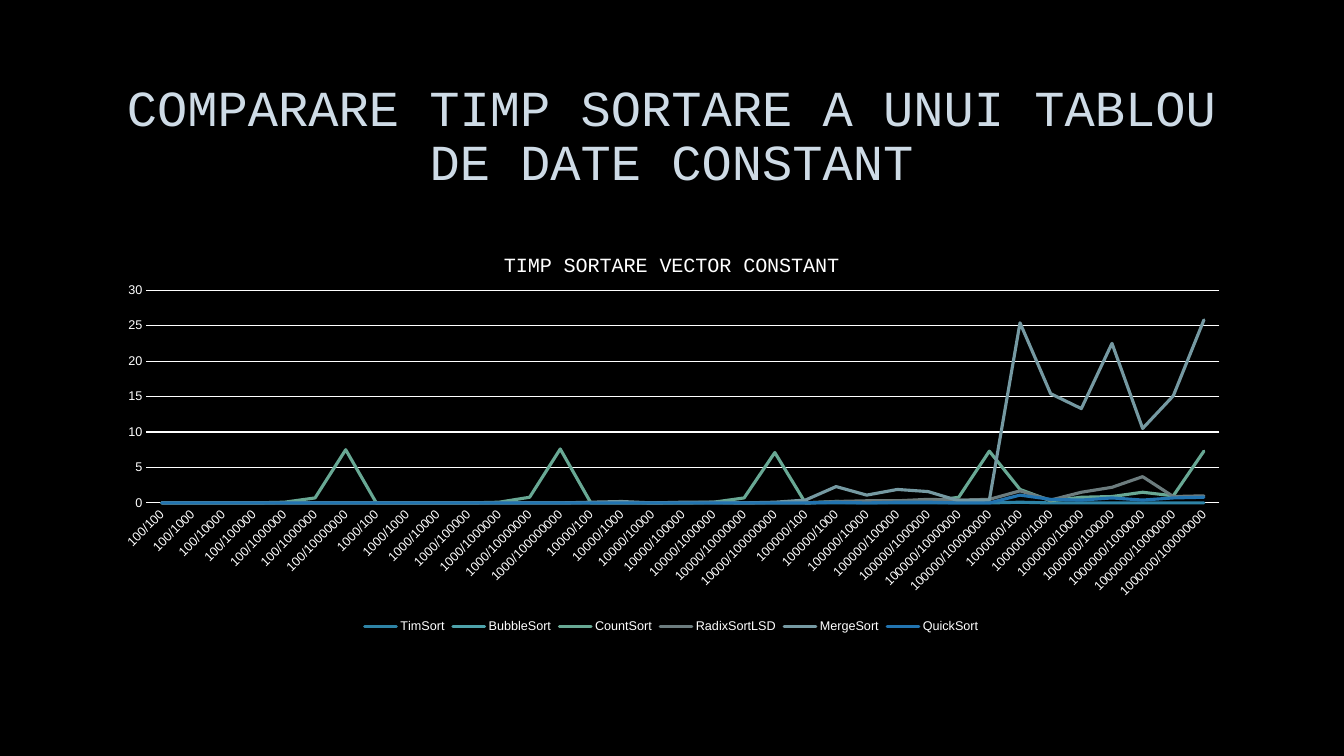
from lxml.etree import SubElement
from pptx import Presentation
from pptx.chart.data import CategoryChartData
from pptx.dml.color import RGBColor
from pptx.enum.chart import XL_CHART_TYPE, XL_LEGEND_POSITION, XL_TICK_MARK
from pptx.enum.text import MSO_ANCHOR, PP_ALIGN
from pptx.oxml import parse_xml
from pptx.oxml.ns import nsdecls, qn
from pptx.util import Inches, Pt

# Content
TITLE = "COMPARARE TIMP SORTARE A UNUI TABLOU DE DATE CONSTANT"
CHART_TITLE = "TIMP SORTARE VECTOR CONSTANT"
ARRAY_SIZES = [100, 1000, 10000, 100000, 1000000]
EXPONENTS = [2, 3, 4, 5, 6, 7, 8]
FIRST_EXPONENTS = [2, 3, 4, 5, 6, 6, 7]  # the smallest array repeats one limit
CATEGORIES = [
    f"{size}/{10 ** exponent}"
    for size in ARRAY_SIZES
    for exponent in (FIRST_EXPONENTS if size == 100 else EXPONENTS)
]
SERIES = [
    ("TimSort", "2E83A5", [0] * 28 + [0.1] + [0] * 6),
    ("BubbleSort", "4EA2AA", [None] * 35),
    ("CountSort", "68A894", [
        0, 0, 0, 0, 0.1, 0.7, 7.5,
        0, 0, 0, 0, 0.1, 0.8, 7.6,
        0, 0, 0, 0, 0.1, 0.7, 7.1,
        0, 0.2, 0.1, 0.1, 0.2, 0.8, 7.3,
        1.9, 0.3, 0.8, 0.9, 1.5, 1, 7.3]),
    ("RadixSortLSD", "6C7C7E", [0] * 21 + [
        0, 0.2, 0.3, 0.3, 0.5, 0.4, 0.5,
        1.7, 0.4, 1.5, 2.2, 3.7, 0.9, 1]),
    ("MergeSort", "7599A2", [0] * 14 + [
        0.1, 0.2, 0, 0.1, 0.1, 0, 0.1,
        0.4, 2.3, 1.1, 1.9, 1.6, 0.3, 0.4,
        25.4, 15.4, 13.3, 22.5, 10.5, 15.1, 25.8]),
    ("QuickSort", "2274B0", [0] * 21 + [
        0, 0.1, 0, 0.1, 0.1, 0, 0,
        1.1, 0.5, 0.4, 0.7, 0.4, 0.7, 0.8]),
]

# Layout, in inches and as shares of the chart
LEFT, WIDTH = 1, 11.32
TITLE_TOP, TITLE_HEIGHT = 0.67, 1.38
CHART_TOP, CHART_HEIGHT = 2.27, 4.06
PLOT_SHARES = {"x": 0.04, "y": 0.15, "w": 0.94, "h": 0.52}
CHART_TITLE_SHARES = {"x": 0.35, "y": 0.05}
WHITE = "FFFFFF"


def color(value):
    return RGBColor.from_string(value)


def style_font(font, name, size, value):
    font.name, font.size, font.bold = name, Pt(size), False
    font.color.rgb = color(value)


def style_line(line, value, width):
    line.color.rgb = color(value)
    line.width = Pt(width)


def manual_layout(shares, inner=False):
    layout = parse_xml(f"<c:layout {nsdecls('c')}><c:manualLayout/></c:layout>")
    settings = [("layoutTarget", "inner")] if inner else []
    settings += [(f"{axis}Mode", "edge") for axis in "xy"]
    settings += list(shares.items())
    for tag, value in settings:
        SubElement(layout[0], qn(f"c:{tag}")).set("val", str(value))
    return layout


def add_title(slide):
    box = slide.shapes.add_textbox(
        Inches(LEFT), Inches(TITLE_TOP), Inches(WIDTH), Inches(TITLE_HEIGHT))
    frame = box.text_frame
    frame.word_wrap = True
    frame.vertical_anchor = MSO_ANCHOR.MIDDLE
    frame.text = TITLE
    paragraph = frame.paragraphs[0]
    paragraph.alignment = PP_ALIGN.CENTER
    paragraph.line_spacing = 0.9
    run = paragraph.runs[0]
    style_font(run.font, "Courier New", 36, "CEDBE6")
    # Faint text outline
    run.font._element.insert(0, parse_xml(
        f'<a:ln {nsdecls("a")} w="{Pt(0.75)}"><a:solidFill><a:srgbClr val="404040">'
        '<a:alpha val="10000"/></a:srgbClr></a:solidFill></a:ln>'))


def add_sort_chart(slide):
    data = CategoryChartData()
    data.categories = CATEGORIES
    for name, _, values in SERIES:
        data.add_series(name, values)
    chart = slide.shapes.add_chart(
        XL_CHART_TYPE.LINE, Inches(LEFT), Inches(CHART_TOP),
        Inches(WIDTH), Inches(CHART_HEIGHT), data).chart
    style_font(chart.font, "Arial", 10, WHITE)

    # Chart title
    chart.has_title = True
    chart_title = chart.chart_title
    chart_title.include_in_layout = False
    chart_title.text_frame.text = CHART_TITLE
    run = chart_title.text_frame.paragraphs[0].runs[0]
    style_font(run.font, "Courier New", 14.4, WHITE)
    title_element = chart_title._element
    for layout in title_element.findall(qn("c:layout")):
        title_element.remove(layout)
    title_element.find(qn("c:tx")).addnext(manual_layout(CHART_TITLE_SHARES))

    # Plot area and lines
    plot_area = chart.plots[0]._element.getparent()
    for layout in plot_area.findall(qn("c:layout")):
        plot_area.remove(layout)
    plot_area.insert(0, manual_layout(PLOT_SHARES, inner=True))
    for series, (_, value, _) in zip(chart.plots[0].series, SERIES):
        series.smooth = False
        style_line(series.format.line, value, 2.25)
        series.format.line._ln.set("cap", "rnd")

    # Axes
    category_axis, value_axis = chart.category_axis, chart.value_axis
    for axis in (category_axis, value_axis):
        axis.major_tick_mark = axis.minor_tick_mark = XL_TICK_MARK.NONE
        style_font(axis.tick_labels.font, "Arial", 9, WHITE)
    style_line(category_axis.format.line, WHITE, 0.75)
    category_axis._element.find(qn("c:txPr")).find(qn("a:bodyPr")).set("rot", "-2700000")
    value_axis.minimum_scale, value_axis.maximum_scale = 0, 30
    value_axis.major_unit = 5
    value_axis.format.line.fill.background()
    style_line(value_axis.major_gridlines.format.line, WHITE, 0.75)

    # Legend
    chart.has_legend = True
    chart.legend.position = XL_LEGEND_POSITION.BOTTOM
    chart.legend.include_in_layout = False
    style_font(chart.legend.font, "Arial", 9, WHITE)


def main():
    presentation = Presentation()
    presentation.slide_width, presentation.slide_height = Inches(13.33), Inches(7.5)
    slide = presentation.slides.add_slide(presentation.slide_layouts[6])
    slide.background.fill.solid()
    slide.background.fill.fore_color.rgb = color("000000")
    add_title(slide)
    add_sort_chart(slide)
    presentation.save("out.pptx")


if __name__ == "__main__":
    main()
